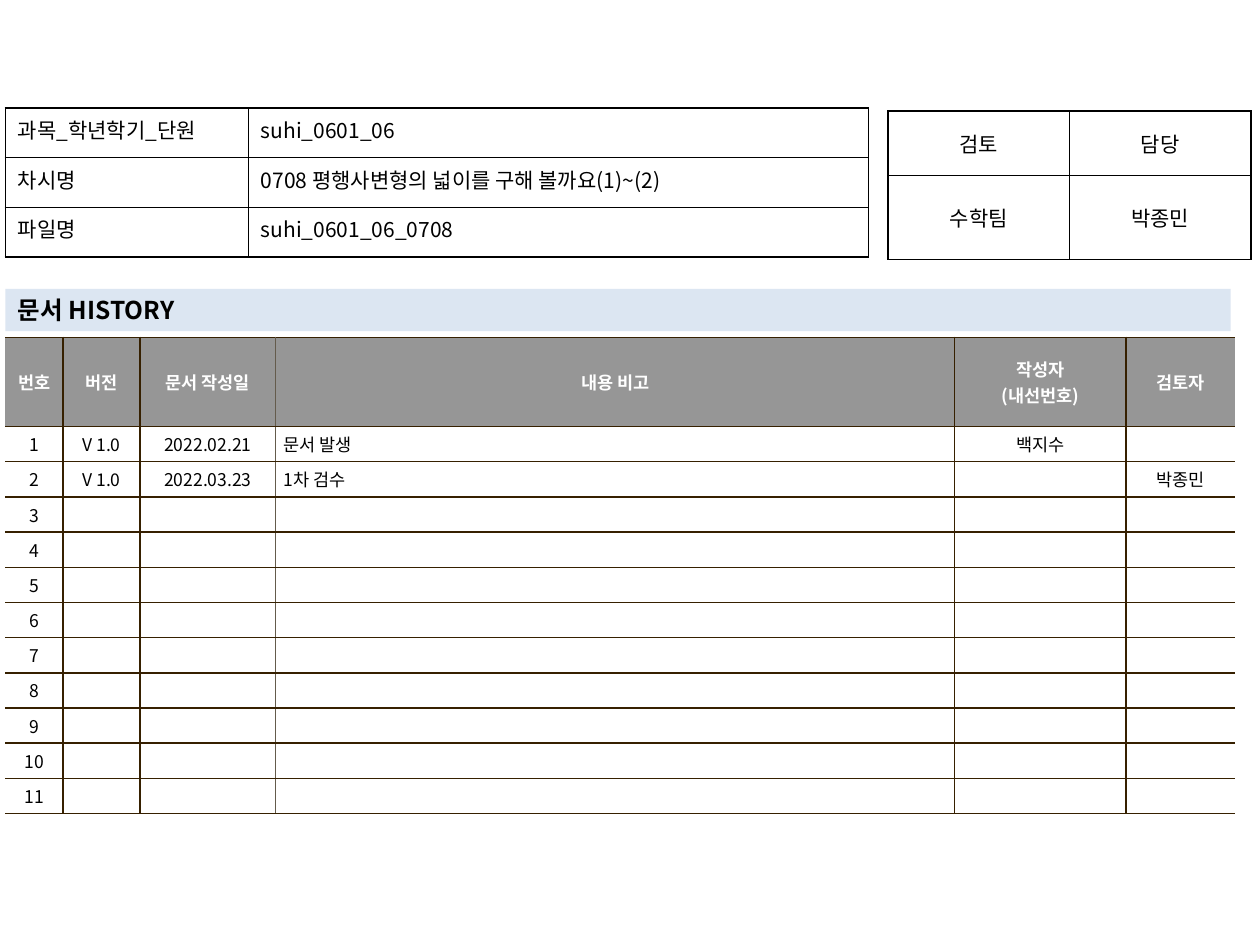
import pptx
import pptx.dml.color
import pptx.enum.text
import pptx.oxml
import pptx.oxml.ns
import pptx.util
from lxml import etree

Pt = pptx.util.Pt
ALIGN = pptx.enum.text.PP_ALIGN
ANCHOR = pptx.enum.text.MSO_ANCHOR
qn = pptx.oxml.ns.qn

FONT = "Noto Sans CJK KR"
COLORS = {
    "text": "000000",
    "white": "FFFFFF",
    "header": "969696",
    "band": "DCE6F2",
    "history_line": "362000",
    "date_line": "645B4C",
    "info_line": "000000",
}


def color(name):
    return pptx.dml.color.RGBColor.from_string(COLORS[name])


def set_text(frame, text, size=12, bold=False, ink="text", align=ALIGN.LEFT):
    for index, line in enumerate(text.split("\n")):
        paragraph = frame.paragraphs[0] if index == 0 else frame.add_paragraph()
        paragraph.alignment = align
        if not line:
            end = etree.SubElement(paragraph._p, qn("a:endParaRPr"))
            end.set("sz", str(size * 100))
            continue
        run = paragraph.add_run()
        run.text = line
        run.font.size = Pt(size)
        run.font.bold = bold
        run.font.name = FONT
        run.font.color.rgb = color(ink)
        east_asian = etree.SubElement(run._r.get_or_add_rPr(), qn("a:ea"))
        east_asian.set("typeface", FONT)


def set_borders(cell, left, right, top, bottom):
    properties = cell._tc.get_or_add_tcPr()
    sides = zip(("lnL", "lnR", "lnT", "lnB"), (left, right, top, bottom))
    for index, (tag, name) in enumerate(sides):
        line = etree.Element(qn("a:" + tag), w=str(Pt(1)))
        if name:
            fill = etree.SubElement(line, qn("a:solidFill"))
            etree.SubElement(fill, qn("a:srgbClr"), val=COLORS[name])
        else:
            etree.SubElement(line, qn("a:noFill"))
        properties.insert(index, line)


def set_margins(target, horizontal, vertical):
    target.margin_left = target.margin_right = Pt(horizontal)
    target.margin_top = target.margin_bottom = Pt(vertical)


def add_grid(slide, left, top, widths, heights):
    grid = slide.shapes.add_table(
        len(heights), len(widths), Pt(left), Pt(top), Pt(sum(widths)), Pt(sum(heights))
    ).table
    grid.first_row = grid.horz_banding = False
    for column, width in zip(grid.columns, widths):
        column.width = Pt(width)
    for row, height in zip(grid.rows, heights):
        row.height = Pt(height)
    return grid


def add_info_table(slide, left, top, widths, heights, rows, aligns, anchor):
    grid = add_grid(slide, left, top, widths, heights)
    for r, row in enumerate(rows):
        for c, text in enumerate(row):
            cell = grid.cell(r, c)
            cell.fill.background()
            cell.vertical_anchor = anchor
            set_margins(cell, 7.2, 3.6)
            set_borders(cell, *["info_line"] * 4)
            set_text(cell.text_frame, text, align=aligns[c])


def add_history_heading(slide, left, top, width, height):
    heading = slide.shapes.title
    heading.left, heading.top = Pt(left), Pt(top)
    heading.width, heading.height = Pt(width), Pt(height)
    heading.fill.solid()
    heading.fill.fore_color.rgb = color("band")
    frame = heading.text_frame
    frame.word_wrap = True
    frame.auto_size = pptx.enum.text.MSO_AUTO_SIZE.NONE
    frame.vertical_anchor = ANCHOR.MIDDLE
    set_margins(frame, 7.2, 3.6)
    set_text(frame, "문서 HISTORY", size=14, bold=True)


def add_history_table(slide, left, top, widths, header_height, row_height):
    header = ["번호", "버전", "문서 작성일", "내용 비고", "작성자\n(내선번호)", "검토자"]
    entries = [
        ["V 1.0", "2022.02.21", "문서 발생", "백지수", ""],
        ["V 1.0", "2022.03.23", "1차 검수", "", "박종민"],
    ]
    entries += [[""] * 5 for _ in range(9)]
    rows = [header] + [[str(n), *entry] for n, entry in enumerate(entries, 1)]
    line = "history_line"
    verticals = [None, line, line, "date_line", line, line, None]
    note_column = 3

    grid = add_grid(slide, left, top, widths, [header_height] + [row_height] * len(entries))
    for r, row in enumerate(rows):
        is_header = r == 0
        for c, text in enumerate(row):
            cell = grid.cell(r, c)
            cell.fill.solid()
            cell.fill.fore_color.rgb = color("header" if is_header else "white")
            cell.vertical_anchor = ANCHOR.MIDDLE
            set_margins(cell, 4.5, 2.8)
            set_borders(cell, verticals[c], verticals[c + 1], line, line)
            is_note = c == note_column and not is_header
            set_text(
                cell.text_frame, text, size=10, bold=is_header,
                ink="white" if is_header else "text",
                align=ALIGN.LEFT if is_note else ALIGN.CENTER,
            )


def main():
    deck = pptx.Presentation()
    deck.slide_width, deck.slide_height = Pt(720), Pt(540)
    slide = deck.slides.add_slide(deck.slide_layouts[5])
    left = 3

    add_history_table(slide, left, 192.75, [33, 44, 77.5, 388, 98, 62.5], 51, 20.1)
    add_info_table(
        slide, 507.5, 63.3, [103.7] * 2, [37, 48],
        [["검토", "담당"], ["수학팀", "박종민"]],
        [ALIGN.CENTER] * 2, ANCHOR.MIDDLE,
    )
    add_history_heading(slide, left, 165, 700.3, 24.3)
    add_info_table(
        slide, left, 61.7, [138.9, 354.3], [28.4] * 3,
        [
            ["과목_학년학기_단원", "suhi_0601_06"],
            ["차시명", "0708 평행사변형의 넓이를 구해 볼까요(1)~(2)"],
            ["파일명", "suhi_0601_06_0708"],
        ],
        [ALIGN.JUSTIFY, ALIGN.LEFT], ANCHOR.TOP,
    )
    deck.save("out.pptx")


if __name__ == "__main__":
    main()
